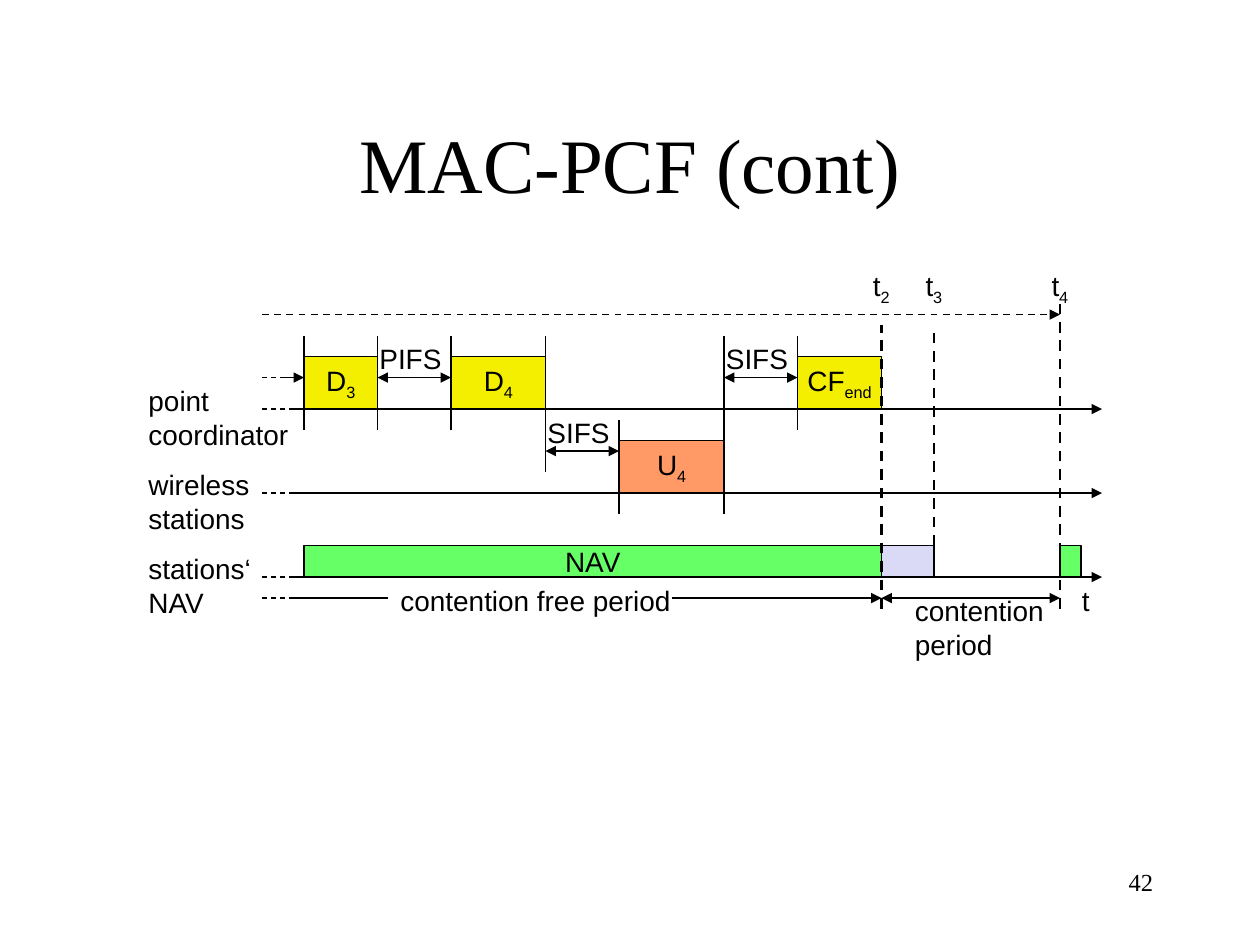
from dataclasses import dataclass

from lxml.etree import SubElement
from pptx import Presentation
from pptx.dml.color import RGBColor
from pptx.enum.dml import MSO_LINE
from pptx.enum.shapes import MSO_CONNECTOR, MSO_SHAPE
from pptx.enum.text import MSO_ANCHOR, MSO_AUTO_SIZE, PP_ALIGN
from pptx.oxml.ns import qn
from pptx.util import Inches, Pt


@dataclass(frozen=True)
class Theme:
    """Colours, fonts and sizes of the slide."""
    ink: str = "000000"
    downlink: str = "F4EE00"
    uplink: str = "FF9966"
    reserved: str = "66FF66"
    released: str = "DADAF6"
    serif: str = "Times New Roman"
    sans: str = "Arial"
    title: int = 44
    label: int = 16
    number: int = 14
    thin: float = 0.75
    medium: float = 1
    thick: float = 1.5


@dataclass(frozen=True)
class Box:
    """A region with a grid of twelfths of an inch."""
    left: int
    top: int
    width: int
    height: int

    def point(self, column, row):
        """Turn grid steps into slide coordinates."""
        step = Inches(1) / 12
        return round(self.left + column * step), round(self.top + row * step)


THEME = Theme()


def inch_box(left, top, width, height):
    """Make a box from lengths in inches."""
    return Box(*(Inches(length) for length in (left, top, width, height)))


def write(frame, text, size, face, alignment):
    """Write lines of text, with an underscore before a subscript."""
    for index, line in enumerate(text.split("\n")):
        para = frame.add_paragraph() if index else frame.paragraphs[0]
        para.alignment = alignment
        para.font.size = Pt(size)
        para.font.name = face
        para.font.color.rgb = RGBColor.from_string(THEME.ink)
        base, _, subscript = line.partition("_")
        para.add_run().text = base
        if subscript:
            span = para.add_run()
            span.text = subscript
            span.font._element.set("baseline", "-25000")


def add_title(page, box, text):
    """Place the title placeholder."""
    title = page.shapes.title
    title.left, title.top, title.width, title.height = box.left, box.top, box.width, box.height
    title.text_frame.vertical_anchor = MSO_ANCHOR.MIDDLE
    write(title.text_frame, text, THEME.title, THEME.serif, PP_ALIGN.CENTER)


def add_page_number(page, box, text):
    """Place the page number at the lower right."""
    frame = page.shapes.add_textbox(box.left, box.top, box.width, box.height).text_frame
    frame.word_wrap = True
    write(frame, text, THEME.number, THEME.serif, PP_ALIGN.RIGHT)


def add_line(page, box, start, end, weight=THEME.thin, dashed=False, ends=()):
    """Draw a line between two grid points, with arrowheads at the named ends."""
    line = page.shapes.add_connector(
        MSO_CONNECTOR.STRAIGHT, *box.point(*start), *box.point(*end))
    line.line.color.rgb = RGBColor.from_string(THEME.ink)
    line.line.width = Pt(weight)
    if dashed:
        line.line.dash_style = MSO_LINE.DASH
    properties = line._element.spPr
    for name in ends:
        SubElement(properties.find(qn("a:ln")), qn(f"a:{name}"), type="triangle")
    SubElement(properties, qn("a:effectLst"))


def add_block(page, box, start, end, fill, text):
    """Draw a filled frame between two grid corners."""
    left, top = box.point(*start)
    right, bottom = box.point(*end)
    block = page.shapes.add_shape(MSO_SHAPE.RECTANGLE, left, top, right - left, bottom - top)
    block.shadow.inherit = False
    block.fill.solid()
    block.fill.fore_color.rgb = RGBColor.from_string(fill)
    block.line.color.rgb = RGBColor.from_string(THEME.ink)
    block.line.width = Pt(THEME.thin)
    if text:
        block.text_frame.word_wrap = False
        block.text_frame.vertical_anchor = MSO_ANCHOR.MIDDLE
        write(block.text_frame, text, THEME.label, THEME.sans, PP_ALIGN.CENTER)


def add_label(page, box, column, row, width, text):
    """Place a label that keeps its own line breaks."""
    height = 0.64 if "\n" in text else 0.37
    label = page.shapes.add_textbox(*box.point(column, row), Inches(width), Inches(height))
    label.text_frame.word_wrap = False
    label.text_frame.auto_size = MSO_AUTO_SIZE.SHAPE_TO_FIT_TEXT
    write(label.text_frame, text, THEME.label, THEME.sans, PP_ALIGN.LEFT)


def add_axes(page, box):
    """Draw the three station axes and their names."""
    names = (("point\ncoordinator", 1.31), ("wireless\nstations", 1), ("stations‘\nNAV", 1.02))
    for index, (name, width) in enumerate(names):
        row = 14 + 8 * index
        add_line(page, box, (15, row), (92, row), ends=("tailEnd",))
        add_line(page, box, (12, row), (15, row), dashed=True)
        add_label(page, box, 0, row - 3, width, name)
    add_label(page, box, 88.9, 30, 0.26, "t")


def add_frames(page, box):
    """Draw the guides, the sent frames and the NAV bars."""
    for column, top, bottom in ((16, 7, 16), (23, 7, 16), (30, 7, 16), (39, 7, 20),
                                (46, 15, 24), (56, 7, 24), (63, 7, 16)):
        add_line(page, box, (column, bottom), (column, top))
    for left, right, bottom, height, fill, text in (
            (16, 23, 14, 5, THEME.downlink, "D_3"),
            (30, 39, 14, 5, THEME.downlink, "D_4"),
            (63, 71, 14, 5, THEME.downlink, "CF_end"),
            (46, 56, 22, 5, THEME.uplink, "U_4"),
            (16, 71, 30, 3, THEME.reserved, "NAV"),
            (71, 76, 30, 3, THEME.released, ""),
            (88, 90, 30, 3, THEME.reserved, "")):
        add_block(page, box, (left, bottom - height), (right, bottom), fill, text)


def add_gaps(page, box):
    """Draw the spaces between frames."""
    for left, right, row, text in ((23, 30, 11, "PIFS"), (39, 46, 18, "SIFS"),
                                   (56, 63, 11, "SIFS")):
        add_line(page, box, (left, row), (right, row), ends=("headEnd", "tailEnd"))
        add_label(page, box, left - 1, row - 4, 0.7, text)
    add_line(page, box, (12, 11), (15, 11), dashed=True)
    add_line(page, box, (14, 11), (16, 11), ends=("tailEnd",))


def add_periods(page, box):
    """Draw the time marks and the two periods they bound."""
    for column, top, bottom, shift, text in ((71, 6, 33, 2, "t_2"), (76, 6, 27, 2, "t_3"),
                                             (88, 4, 33, 2, "t_4")):
        add_line(page, box, (column, bottom), (column, top), THEME.thick, dashed=True)
        add_label(page, box, column - shift, 0, 0.35, text)
    add_line(page, box, (12, 5), (88, 5), THEME.medium, dashed=True, ends=("tailEnd",))
    add_line(page, box, (12, 32), (15, 32), dashed=True)
    add_line(page, box, (24, 32), (15, 32))
    add_line(page, box, (51, 32), (71, 32), ends=("tailEnd",))
    add_line(page, box, (71, 32), (88, 32), ends=("headEnd", "tailEnd"))
    add_label(page, box, 24, 30, 2.35, "contention free period")
    add_label(page, box, 73, 31, 1.23, "contention\nperiod")


def add_timeline(page, box):
    """Build the timing diagram inside its box."""
    for part in (add_axes, add_frames, add_gaps, add_periods):
        part(page, box)


def main():
    """Build the deck and save it."""
    deck = Presentation()
    deck.slide_width, deck.slide_height = Inches(10), Inches(7.5)
    page = deck.slides.add_slide(deck.slide_layouts[5])
    add_title(page, inch_box(0.75, 0.67, 8.5, 1.25), "MAC-PCF (cont)")
    add_timeline(page, inch_box(1.08, 2.08, 7.67, 3.23))
    add_page_number(page, inch_box(7.17, 6.83, 2.08, 0.5), "42")
    deck.save("out.pptx")


if __name__ == "__main__":
    main()
